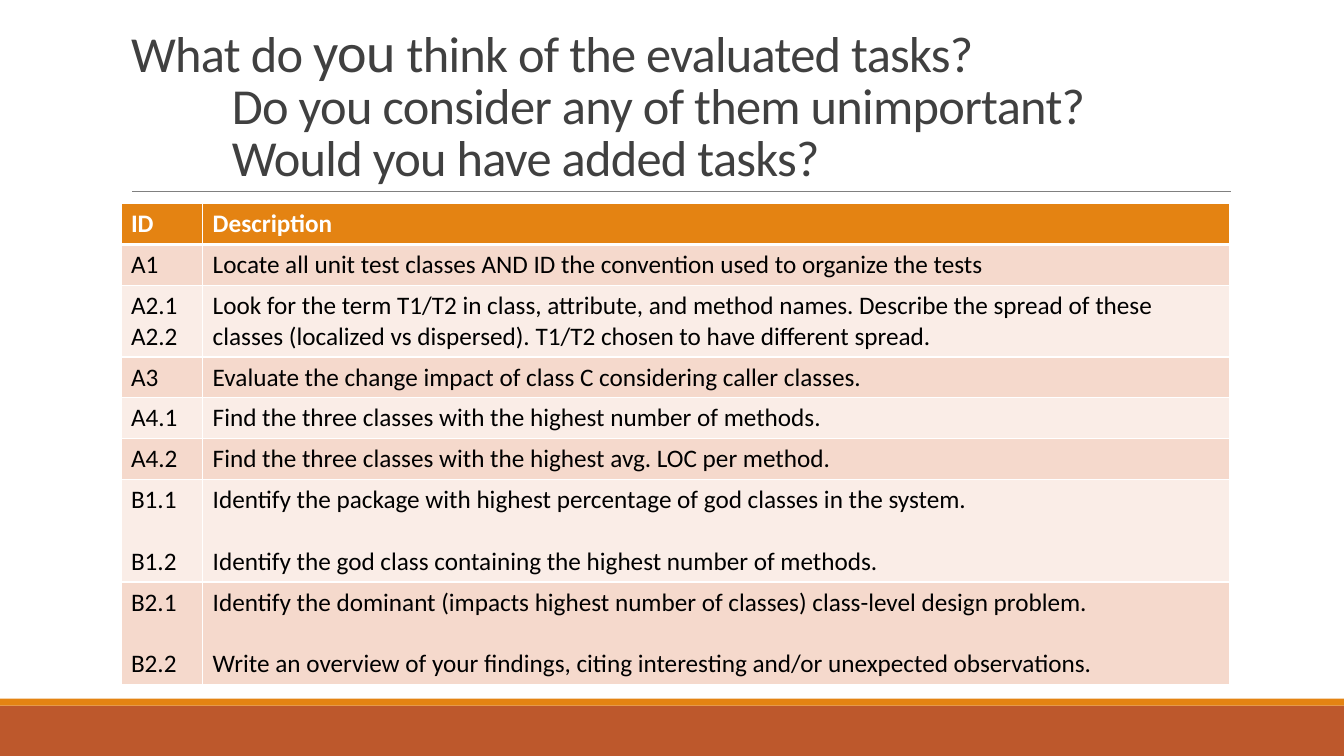
from dataclasses import dataclass

from lxml.etree import SubElement
from pptx import Presentation
from pptx.dml.color import RGBColor
from pptx.enum.shapes import MSO_CONNECTOR, MSO_SHAPE
from pptx.enum.text import MSO_ANCHOR, MSO_AUTO_SIZE, PP_ALIGN
from pptx.oxml import parse_xml
from pptx.oxml.ns import nsdecls, qn
from pptx.util import Inches, Pt

WHITE = RGBColor(0xFF, 0xFF, 0xFF)
BLACK = RGBColor(0x00, 0x00, 0x00)
DARK = RGBColor(0x40, 0x40, 0x40)
GRAY = RGBColor(0x80, 0x80, 0x80)
ORANGE = RGBColor(0xE4, 0x83, 0x12)
RUST = RGBColor(0xBD, 0x58, 0x2C)
BANDS = (RGBColor(0xF5, 0xD9, 0xCC), RGBColor(0xFA, 0xED, 0xE7))
FONT = "Calibri"
WIDTH, HEIGHT = Inches(13.33), Inches(7.5)


@dataclass
class Bar:
    top: float
    height: float
    color: RGBColor


@dataclass
class Task:
    ids: list[str]
    texts: list[str]
    lines: int = 1


BARS = [Bar(93.33, 6.67, RUST), Bar(92.4, 0.93, ORANGE)]

TITLE_LINES = [
    [("What do ", 36), ("you", 40), (" think of the evaluated tasks?", 36)],
    [("Do you consider any of them unimportant?", 36)],
    [("Would you have added tasks?", 36)],
]

TASKS = [
    Task(["ID"], ["Description"]),
    Task(["A1"], ["Locate all unit test classes AND ID the convention used to organize the tests"]),
    Task(["A2.1 A2.2"], ["Look for the term T1/T2 in class, attribute, and method names. "
                         "Describe the spread of these classes (localized vs dispersed). "
                         "T1/T2 chosen to have different spread."], 2),
    Task(["A3"], ["Evaluate the change impact of class C considering caller classes."]),
    Task(["A4.1"], ["Find the three classes with the highest number of methods."]),
    Task(["A4.2"], ["Find the three classes with the highest avg. LOC per method."]),
    Task(["B1.1", "B1.2"],
         ["Identify the package with highest percentage of god classes in the system.",
          "Identify the god class containing the highest number of methods."], 3),
    Task(["B2.1", "B2.2"],
         ["Identify the dominant (impacts highest number of classes) class-level design problem.",
          "Write an overview of your findings, citing interesting and/or unexpected observations."], 3),
]


def x(percent: float) -> int:
    """Share of the slide's width."""
    return round(WIDTH * percent / 100)


def y(percent: float) -> int:
    """Share of the slide's height."""
    return round(HEIGHT * percent / 100)


def add_run(p, text: str, size: float, color: RGBColor, bold: bool = False):
    r = p.add_run()
    r.text = text
    r.font.name, r.font.size, r.font.bold = FONT, Pt(size), bold
    r.font.color.rgb = color
    return r


def add_bar(slide, bar: Bar) -> None:
    sp = slide.shapes.add_shape(MSO_SHAPE.RECTANGLE, 0, y(bar.top), WIDTH, y(bar.height))
    sp.shadow.inherit = False
    sp.fill.solid()
    sp.fill.fore_color.rgb = bar.color
    sp.line.fill.background()


def add_rule(slide) -> None:
    line = slide.shapes.add_connector(MSO_CONNECTOR.STRAIGHT, x(9.83), y(25.33), x(91.6), y(25.33))
    line.line.color.rgb = GRAY
    line.line.width = Pt(0.5)
    SubElement(line.element.spPr, qn("a:effectLst"))


def set_title(slide) -> None:
    sp = slide.shapes.title
    sp.left, sp.top, sp.width, sp.height = x(9), y(4.13), x(82.5), y(21.2)
    tf = sp.text_frame
    tf.word_wrap = True
    tf.auto_size = MSO_AUTO_SIZE.NONE
    tf.vertical_anchor = MSO_ANCHOR.BOTTOM
    p = tf.paragraphs[0]
    p.alignment = PP_ALIGN.LEFT
    p.line_spacing = 0.85
    # Hanging indent sets the follow-up questions one inch in
    pPr = p._p.get_or_add_pPr()
    pPr.set("marL", str(Inches(1)))
    pPr.set("indent", str(-Inches(1)))
    for i, runs in enumerate(TITLE_LINES):
        if i:
            p.add_line_break()
        for text, size in runs:
            r = add_run(p, text, size, DARK)
            r.font._element.set("spc", "-50")


def set_borders(cell, top: float, bottom: float) -> None:
    tcPr = cell._tc.get_or_add_tcPr()
    sides = (("lnL", 1), ("lnR", 1), ("lnT", top), ("lnB", bottom))
    for i, (side, width) in enumerate(sides):
        tcPr.insert(i, parse_xml(
            f'<a:{side} {nsdecls("a")} w="{Pt(width)}"><a:solidFill>'
            f'<a:srgbClr val="{WHITE}"/></a:solidFill></a:{side}>'))


def fill_cell(cell, texts: list[str], row: int) -> None:
    header = row == 0
    cell.fill.solid()
    cell.fill.fore_color.rgb = ORANGE if header else BANDS[(row - 1) % 2]
    set_borders(cell, 3 if row == 1 else 1, 3 if header else 1)
    tf = cell.text_frame
    for i, text in enumerate(texts):
        p = tf.add_paragraph() if i else tf.paragraphs[0]
        if i:
            p.space_before = Pt(22)
        add_run(p, text, 18, WHITE if header else BLACK, header)


def add_task_table(slide) -> None:
    heights = [y(1.33 + 4 * task.lines) for task in TASKS]
    table = slide.shapes.add_table(len(TASKS), 2, x(9), y(26.93), x(82.5), sum(heights)).table
    table.horz_banding = False
    table.columns[0].width, table.columns[1].width = x(6.08), x(76.42)
    for row, (task, height) in enumerate(zip(TASKS, heights)):
        table.rows[row].height = height
        fill_cell(table.cell(row, 0), task.ids, row)
        fill_cell(table.cell(row, 1), task.texts, row)


def main() -> None:
    prs = Presentation()
    prs.slide_width, prs.slide_height = WIDTH, HEIGHT
    slide = prs.slides.add_slide(prs.slide_layouts[5])
    # Footer bars and rule under the title
    for bar in BARS:
        add_bar(slide, bar)
    add_rule(slide)
    # Question and task list
    set_title(slide)
    add_task_table(slide)
    prs.save("out.pptx")


if __name__ == "__main__":
    main()
